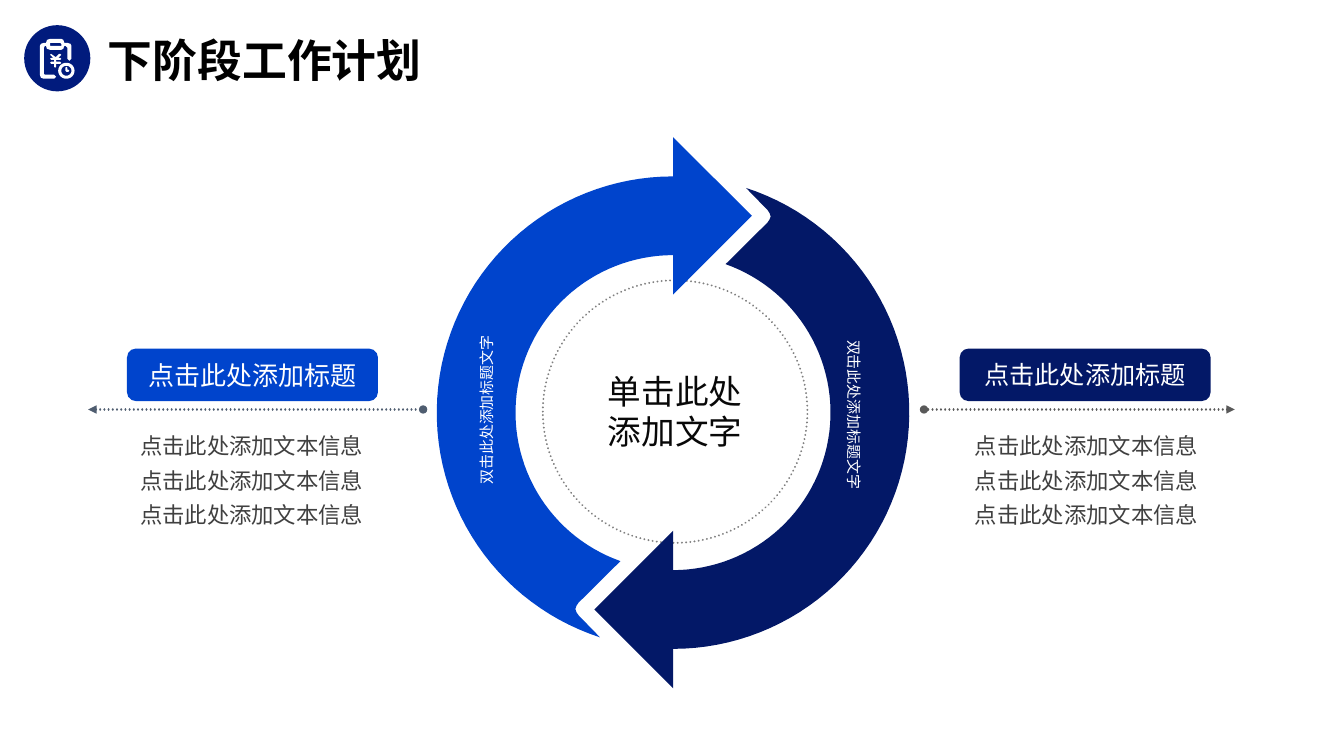
from dataclasses import dataclass
from math import cos, radians, sin

from lxml import etree
from pptx import Presentation
from pptx.dml.color import RGBColor
from pptx.enum.dml import MSO_LINE
from pptx.enum.shapes import MSO_CONNECTOR, MSO_SHAPE
from pptx.enum.text import MSO_ANCHOR, PP_ALIGN
from pptx.oxml.ns import qn
from pptx.util import Pt

PX = 9525
LEFT, CENTER = PP_ALIGN.LEFT, PP_ALIGN.CENTER
TOP, MIDDLE = MSO_ANCHOR.TOP, MSO_ANCHOR.MIDDLE
OVAL, ROUNDED = MSO_SHAPE.OVAL, MSO_SHAPE.ROUNDED_RECTANGLE
STRAIGHT, DOTTED = MSO_CONNECTOR.STRAIGHT, MSO_LINE.ROUND_DOT


@dataclass(frozen=True)
class Theme:
    font: str = "Noto Sans CJK SC"
    badge: str = "011B7D"
    blue: str = "0044CC"
    navy: str = "031867"
    white: str = "FFFFFF"
    title: str = "000000"
    center: str = "080808"
    body: str = "404040"
    ring: str = "808080"
    left_line: str = "4F5D70"
    right_line: str = "595959"
    title_size: float = 32
    center_size: float = 24
    body_size: float = 16
    arc_size: float = 10.7
    dotted: float = 1.5


T = Theme()

ICON_GRID = 34, 40
BOARD = [(29, 22), (27, 20), (27, 9), (25, 7), (24, 7), (23, 10), (21, 11), (10, 11),
         (7, 10), (6, 7), (5, 7), (4, 9), (4, 35), (5, 36), (14, 36), (16, 38), (14, 40),
         (4, 40), (1, 39), (0, 36), (0, 7), (1, 5), (4, 4), (6, 4), (7, 1), (10, 0),
         (21, 0), (23, 1), (24, 4), (27, 4), (30, 5), (31, 7), (31, 20)]
CLIP_HOLE = [(10, 4), (20, 4), (21, 5), (21, 7), (10, 7)]
CURRENCY = [(20, 23), (21, 24), (20, 25), (16, 25), (16, 28), (15, 29), (14, 28), (14, 25),
            (11, 25), (10, 24), (11, 23), (14, 23), (14, 21), (11, 21), (10, 20), (11, 19),
            (13, 19), (10, 16), (11, 15), (15, 18), (16, 18), (19, 15), (20, 15), (21, 16),
            (18, 19), (20, 19), (21, 20), (20, 21), (16, 21), (16, 23)]
CLOCK_HANDS = [(28, 33), (26, 33), (25, 32), (25, 29), (26, 28), (27, 29), (27, 31),
               (28, 31), (29, 32)]
CLOCK_CENTER = 26, 32
CLOCK_RADII = 8, 5


def emu(*lengths):
    return [round(v * PX) for v in lengths]


def rgb(color):
    return RGBColor.from_string(color)


def arc(cx, cy, radius, end):
    """Points counterclockwise from the top through end degrees."""
    angles = [radians(end * i / 60) for i in range(61)]
    return [(cx - radius * sin(a), cy - radius * cos(a)) for a in angles]


def paint(sp, fill=None):
    sp.shadow.inherit = False
    if fill:
        sp.fill.solid()
        sp.fill.fore_color.rgb = rgb(fill)
    else:
        sp.fill.background()
    sp.line.fill.background()
    return sp


def dot_line(line, color):
    line.color.rgb = rgb(color)
    line.width = Pt(T.dotted)
    line.dash_style = DOTTED
    ln = line._get_or_add_ln()
    ln.set("cap", "rnd")
    return ln


def add_shape(slide, kind, box, fill=None):
    return paint(slide.shapes.add_shape(kind, *emu(*box)), fill)


def add_outline(slide, contours, fill):
    fb = slide.shapes.build_freeform(*emu(*contours[0][0]), scale=1.0)
    for i, contour in enumerate(contours):
        start, *rest = [emu(*pt) for pt in contour]
        if i:
            fb.move_to(*start)
        fb.add_line_segments(rest, close=True)
    return paint(fb.convert_to_shape(), fill)


def write(sp, lines, size, color, align=CENTER, anchor=MIDDLE, spacing=None, bold=False):
    tf = sp.text_frame
    tf.word_wrap = False
    tf.vertical_anchor = anchor
    for i, line in enumerate(lines):
        p = tf.add_paragraph() if i else tf.paragraphs[0]
        p.alignment = align
        if spacing:
            p.line_spacing = Pt(spacing)
        r = p.add_run()
        r.text = line
        for name, value in {"name": T.font, "size": Pt(size), "bold": bold}.items():
            setattr(r.font, name, value)
        r.font.color.rgb = rgb(color)
        etree.SubElement(r.font._element, qn("a:ea"), typeface=T.font)


def add_textbox(slide, box, lines, size, color, rotation=0, **layout):
    sp = slide.shapes.add_textbox(*emu(*box))
    sp.rotation = rotation
    write(sp, lines, size, color, **layout)


def add_header(slide, x, y):
    add_shape(slide, OVAL, (x, y, 63, 63), T.badge)
    add_icon(slide, (x + 15, y + 13, 33, 38))
    title = slide.shapes.title
    for name, value in zip(("left", "top", "width", "height"), emu(x + 70, y + 2, 492, 61)):
        setattr(title, name, value)
    write(title, ["下阶段工作计划"], T.title_size, T.title, align=LEFT, bold=True)


def add_icon(slide, box):
    """Clipboard with a currency sign and a clock."""
    x, y, w, h = box
    sx, sy = w / ICON_GRID[0], h / ICON_GRID[1]
    clock = [arc(*CLOCK_CENTER, radius, 360) for radius in CLOCK_RADII]
    contours = [BOARD, CLIP_HOLE, CURRENCY, CLOCK_HANDS, *clock]
    add_outline(slide, [[(x + a * sx, y + b * sy) for a, b in contour]
                        for contour in contours], T.white)


def add_half_ring(slide, cx, cy, color, side):
    """Arrow half of the cycle; side is 1 for the left half and -1 for the right."""
    outer, inner, head = 225, 150, 75
    middle = (outer + inner) / 2
    notch = [(-90, 193), (-92, 190), (-93, 187), (-92, 184), (-90, 181)]
    arrow = [(0, head - middle), (head, -middle), (0, -head - middle)]
    points = arc(0, 0, outer, 162) + notch + arc(0, 0, inner, 160.5)[::-1] + arrow
    add_outline(slide, [[(cx + side * a, cy + side * b) for a, b in points]], color)


def add_cycle(slide, cx, cy):
    disc = add_shape(slide, OVAL, (cx - 124, cy - 126, 252, 250))
    dot_line(disc.line, T.ring)
    write(disc, ["单击此处", "添加文字"], T.center_size, T.center, spacing=28.6)
    add_half_ring(slide, cx, cy, T.blue, 1)
    add_half_ring(slide, cx, cy, T.navy, -1)
    for box, rotation in (((cx - 202, cy - 141, 299, 277), 270),
                          ((cx - 143, cy - 158, 338, 320), 90)):
        add_textbox(slide, box, ["双击此处添加标题文字"], T.arc_size, T.white,
                    rotation, anchor=TOP)


def add_card(slide, x, y, color, size, line_color, line_from, line_to, body_x):
    button = add_shape(slide, ROUNDED, (x, y, 239, 50), color)
    button.adjustments[0] = 0.17
    write(button, ["点击此处添加标题"], size, T.white)
    line = slide.shapes.add_connector(STRAIGHT, *emu(line_from, y + 58, line_to, y + 58))
    ln = dot_line(line.line, line_color)
    for end, kind in (("a:headEnd", "triangle"), ("a:tailEnd", "oval")):
        etree.SubElement(ln, qn(end), type=kind)
    etree.SubElement(line._element.spPr, qn("a:effectLst"))
    add_textbox(slide, (body_x, y + 67, 232, 110), ["点击此处添加文本信息"] * 3,
                T.body_size, T.body, align=LEFT, spacing=24.6)


def main():
    prs = Presentation()
    prs.slide_width, prs.slide_height = emu(1280, 720)
    slide = prs.slides.add_slide(prs.slide_layouts[5])
    add_header(slide, 23, 24)
    add_cycle(slide, 641, 393)
    add_card(slide, 914, 332, T.navy, 18, T.right_line, 1176, 880, 919)
    add_card(slide, 121, 332, T.blue, 18.6, T.left_line, 84, 403, 124)
    prs.save("out.pptx")


if __name__ == "__main__":
    main()
